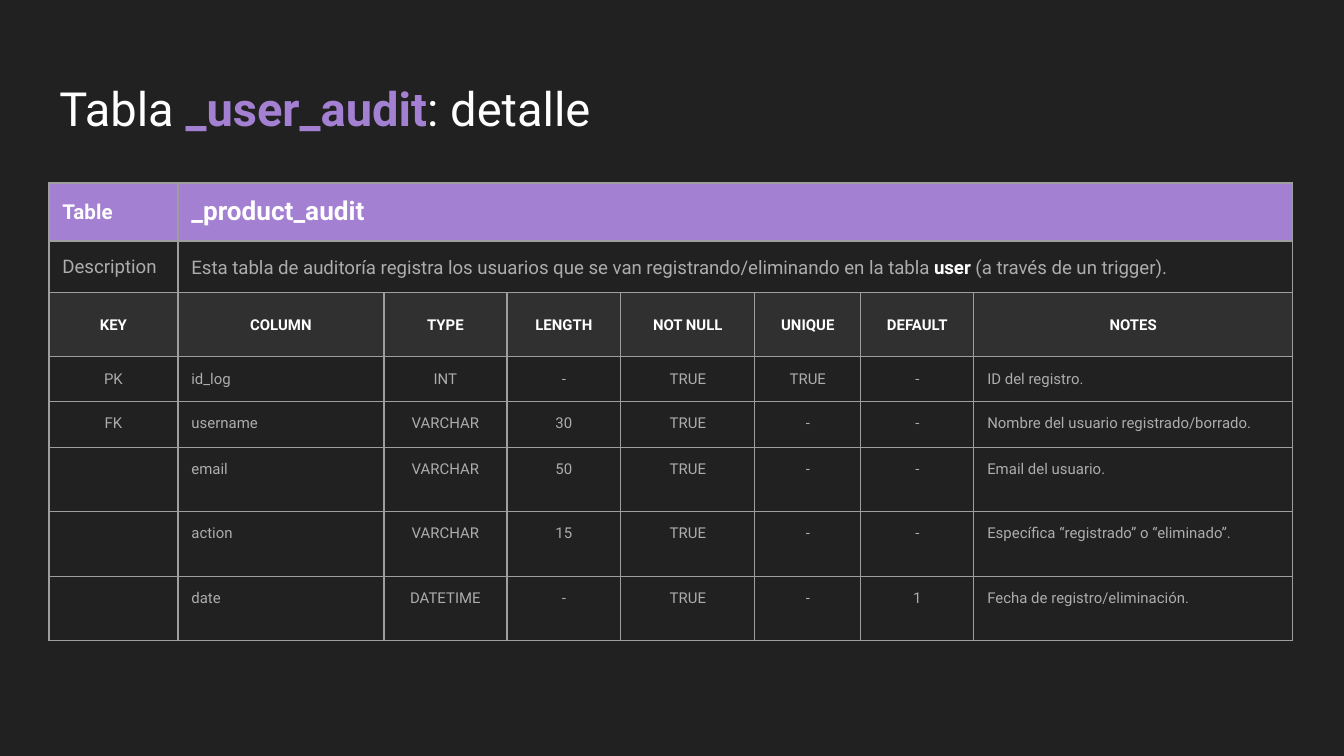
import pptx
import pptx.dml.color
import pptx.enum.text
import pptx.oxml
import pptx.oxml.ns
import pptx.util

PX = 914400 / 134.4
FONT = "Roboto"
COLORS = {"bg": "212121", "accent": "A380D1", "header": "303030",
          "white": "FFFFFF", "gray": "ADADAD", "border": "9E9E9E"}

# Runs: text, colour, bold
TITLE = [("Tabla ", "white", False), ("_user_audit", "accent", True),
         (": detalle", "white", False)]
NAME = ("Table", "_product_audit")
DESCRIPTION = [
    ("Esta tabla de auditoría registra los usuarios que se van "
     "registrando/eliminando en la tabla ", "gray", False),
    ("user", "white", True),
    (" (a través de un trigger).", "gray", False),
]
HEADERS = ["KEY", "COLUMN", "TYPE", "LENGTH", "NOT NULL", "UNIQUE", "DEFAULT", "NOTES"]
FIELDS = [
    ["PK", "id_log", "INT", "-", "TRUE", "TRUE", "-", "ID del registro."],
    ["FK", "username", "VARCHAR", "30", "TRUE", "-", "-",
     "Nombre del usuario registrado/borrado."],
    ["", "email", "VARCHAR", "50", "TRUE", "-", "-", "Email del usuario."],
    ["", "action", "VARCHAR", "15", "TRUE", "-", "-",
     "Específica “registrado” o “eliminado”."],
    ["", "date", "DATETIME", "-", "TRUE", "-", "1", "Fecha de registro/eliminación."],
]
LEFT_COLUMNS = (1, 7)
COL_WIDTHS = [129, 206, 123, 114, 134, 106, 113, 319]
ROW_HEIGHTS = [58, 51, 64, 44, 46, 64, 65, 64]

ALIGN = pptx.enum.text.PP_ALIGN
ANCHOR = pptx.enum.text.MSO_ANCHOR


def px(n):
    return pptx.util.Emu(round(n * PX))


def rgb(name):
    return pptx.dml.color.RGBColor.from_string(COLORS[name])


def add_runs(p, runs, size):
    for text, color, bold in runs:
        r = p.add_run()
        r.text = text
        r.font.name = FONT
        r.font.size = pptx.util.Pt(size)
        r.font.bold = bold
        r.font.color.rgb = rgb(color)


def set_margins(box):
    inset = pptx.util.Inches(0.1)
    box.margin_left = box.margin_right = inset
    box.margin_top = box.margin_bottom = inset


def add_borders(cell):
    tcPr = cell._tc.get_or_add_tcPr()
    for side in ("lnL", "lnR", "lnT", "lnB"):
        tcPr.append(pptx.oxml.parse_xml(
            f'<a:{side} {pptx.oxml.ns.nsdecls("a")} w="9525"><a:solidFill>'
            f'<a:srgbClr val="{COLORS["border"]}"/></a:solidFill></a:{side}>'))


def fill_cell(cell, runs, size, align=ALIGN.LEFT, anchor=ANCHOR.MIDDLE):
    set_margins(cell)
    cell.vertical_anchor = anchor
    p = cell.text_frame.paragraphs[0]
    p.alignment = align
    add_runs(p, runs, size)


def add_title(s):
    title = s.shapes.title
    title.left, title.top, title.width, title.height = px(46), px(66), px(1253), px(85)
    tf = title.text_frame
    set_margins(tf)
    tf.word_wrap = True
    tf.auto_size = pptx.enum.text.MSO_AUTO_SIZE.NONE
    tf.vertical_anchor = ANCHOR.TOP
    tf.paragraphs[0].alignment = ALIGN.LEFT
    add_runs(tf.paragraphs[0], TITLE, 25.2)


def add_detail_table(s):
    table = s.shapes.add_table(
        len(ROW_HEIGHTS), len(COL_WIDTHS), px(49), px(183),
        px(sum(COL_WIDTHS)), px(sum(ROW_HEIGHTS))).table
    table.first_row = table.horz_banding = False
    for column, width in zip(table.columns, COL_WIDTHS):
        column.width = px(width)
    for row, height in zip(table.rows, ROW_HEIGHTS):
        row.height = px(height)

    row_fills = {0: "accent", 2: "header"}
    for i, row in enumerate(table.rows):
        for cell in row.cells:
            add_borders(cell)
            cell.fill.solid()
            cell.fill.fore_color.rgb = rgb(row_fills.get(i, "bg"))

    for i in (0, 1):
        table.cell(i, 1).merge(table.cell(i, len(COL_WIDTHS) - 1))
    fill_cell(table.cell(0, 0), [(NAME[0], "white", True)], 11)
    fill_cell(table.cell(0, 1), [(NAME[1], "white", True)], 14)
    fill_cell(table.cell(1, 0), [("Description", "gray", False)], 10)
    fill_cell(table.cell(1, 1), DESCRIPTION, 10)
    p = table.cell(1, 1).text_frame.paragraphs[0]
    p.line_spacing = 1.15
    p.space_after = pptx.util.Pt(12)

    for j, text in enumerate(HEADERS):
        fill_cell(table.cell(2, j), [(text, "white", True)], 8, ALIGN.CENTER)
    for i, field in enumerate(FIELDS, start=3):
        for j, text in enumerate(field):
            if text:
                align = ALIGN.LEFT if j in LEFT_COLUMNS else ALIGN.CENTER
                fill_cell(table.cell(i, j), [(text, "gray", False)], 8, align, ANCHOR.TOP)


def main():
    prs = pptx.Presentation()
    prs.slide_width, prs.slide_height = px(1344), px(756)
    s = prs.slides.add_slide(prs.slide_layouts[5])
    s.background.fill.solid()
    s.background.fill.fore_color.rgb = rgb("bg")
    add_title(s)
    add_detail_table(s)
    prs.save("out.pptx")


if __name__ == "__main__":
    main()
